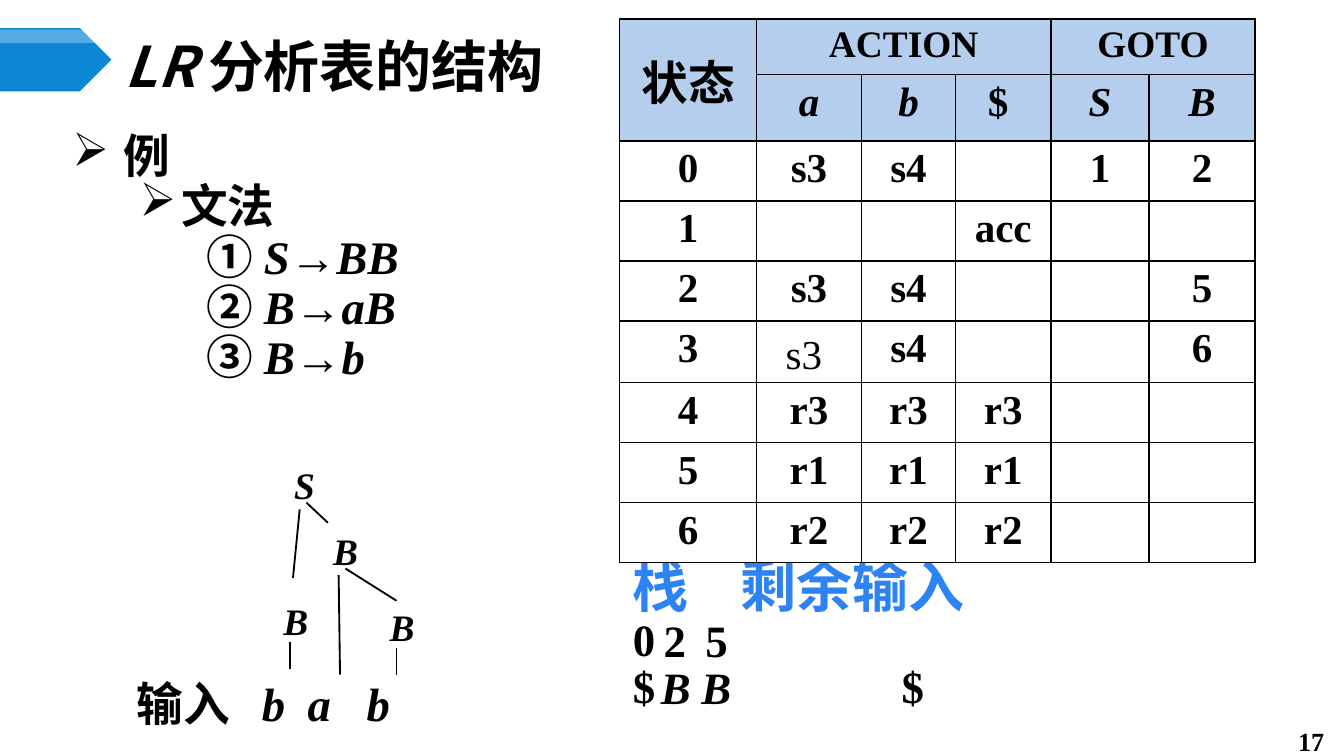
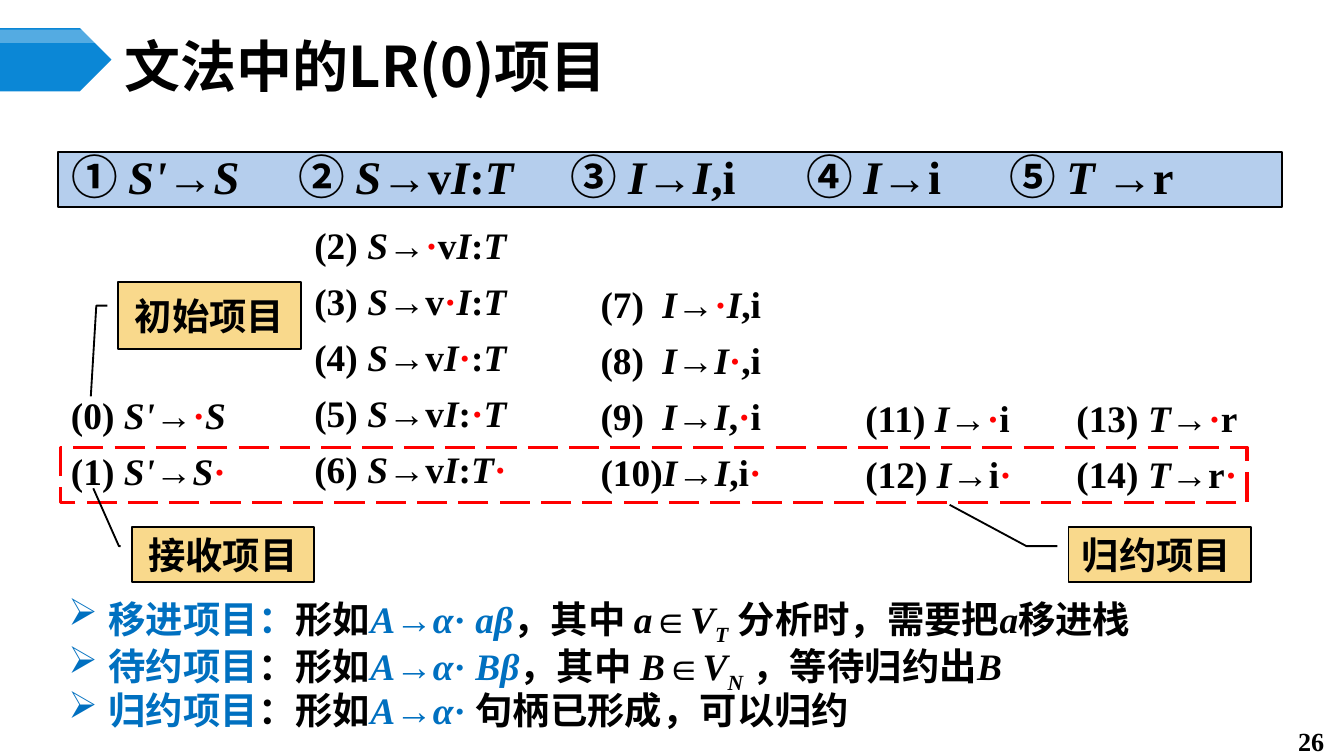
import itertools

import pptx
import pptx.dml.color
import pptx.enum.dml
import pptx.enum.shapes
import pptx.enum.text
import pptx.oxml
import pptx.oxml.ns
import pptx.util
from lxml import etree

SHAPE = pptx.enum.shapes.MSO_SHAPE
ALIGN = pptx.enum.text.PP_ALIGN
ANCHOR = pptx.enum.text.MSO_ANCHOR
qn = pptx.oxml.ns.qn

# The slide is a grid of 100 columns by 56.25 rows of equal size.
WIDTH = pptx.util.Inches(10)
CELL = WIDTH // 100
HEIGHT = int(CELL * 56.25)

BLACK, WHITE, RED = "000000", "FFFFFF", "FF0000"
BAND, PANEL, NOTE = "0B87D6", "B5CEED", "F9D98C"
HEADING, TERM = "2D83F4", "0070C0"
SANS, SERIF = "Noto Sans CJK SC", "Times New Roman"


def units(value):
    return int(round(value * CELL))


def inside(box, left, top, width=0, height=0):
    """Shift a part given in grid units to the corner of its region."""
    return box[0] + left, box[1] + top, width, height


def paint(fill, color):
    fill.solid()
    fill.fore_color.rgb = pptx.dml.color.RGBColor.from_string(color)


def set_face(font, face):
    font.name = face
    etree.SubElement(font._rPr, qn("a:ea"), typeface=face)


def split_markup(text, face):
    """Yield (style, text): *italic*, _subscript_, {accent}; the script picks the face."""
    italic = lowered = accent = False
    current = face or SERIF
    marked = []
    for letter in text:
        if letter == "*":
            italic = not italic
        elif letter == "_":
            lowered = not lowered
        elif letter in "{}":
            accent = letter == "{"
        else:
            if not face and not letter.isspace():
                current = SANS if letter >= "①" else SERIF
            marked.append(((italic, lowered, accent, current), letter))
    for style, group in itertools.groupby(marked, key=lambda pair: pair[0]):
        yield style, "".join(letter for _, letter in group)


def write(para, text, size, color=BLACK, accent=RED, face=None, bold=True, align=None,
          leading=None, gap=0, margin=0, hang=0, bullet=None, tabs=()):
    if align is not None:
        para.alignment = align
    if leading:
        para.line_spacing = leading
    if gap:
        para.space_before = pptx.util.Pt(gap)
    props = para._p.get_or_add_pPr()
    if margin:
        props.set("marL", str(units(margin)))
        props.set("indent", str(-units(hang)))
    if bullet:
        etree.SubElement(props, qn("a:buChar"), char=bullet)
    if tabs:
        stops = etree.SubElement(props, qn("a:tabLst"))
        for stop in tabs:
            etree.SubElement(stops, qn("a:tab"), pos=str(units(stop)), algn="l")

    pieces = list(split_markup(text, face))
    one_slant = len({style[0] for style, _ in pieces}) == 1
    one_face = len({style[3] for style, _ in pieces}) == 1
    para.font.size = pptx.util.Pt(size)
    para.font.bold = bold
    paint(para.font.fill, color)
    if one_slant:
        para.font.italic = pieces[0][0][0]
    if one_face:
        set_face(para.font, pieces[0][0][3])
    for (italic, lowered, marked, run_face), piece in pieces:
        span = para.add_run()
        span.text = piece
        if marked:
            paint(span.font.fill, accent)
        if not one_slant:
            span.font.italic = italic
        if not one_face:
            set_face(span.font, run_face)
        if lowered:
            span._r.get_or_add_rPr().set("baseline", "-25000")


def paragraphs(frame):
    yield frame.paragraphs[0]
    while True:
        yield frame.add_paragraph()


def add_text(page, box, texts, size, gap=0, wrap=True, anchor=ANCHOR.TOP, **style):
    frame = page.shapes.add_textbox(*map(units, box)).text_frame
    frame.word_wrap = wrap
    frame.vertical_anchor = anchor
    for index, (para, text) in enumerate(zip(paragraphs(frame), texts)):
        write(para, text, size, gap=gap if index else 0, **style)
        if index == len(texts) - 1:
            break


def add_panel(page, kind, box, fill=None, line=None, weight=1):
    shape = page.shapes.add_shape(kind, *map(units, box))
    shape.shadow.inherit = False
    if fill:
        paint(shape.fill, fill)
    else:
        shape.fill.background()
    if line:
        paint(shape.line.fill, line)
        shape.line.width = pptx.util.Pt(weight)
    else:
        shape.line.fill.background()
    shape.text_frame.vertical_anchor = ANCHOR.MIDDLE
    return shape


def add_branch(page, start, end):
    link = page.shapes.add_connector(pptx.enum.shapes.MSO_CONNECTOR.STRAIGHT,
                                     *map(units, start[:2] + end[:2]))
    paint(link.line.fill, BLACK)
    link.line.width = pptx.util.Pt(1)
    etree.SubElement(link._element.spPr, qn("a:effectLst"))


def new_page(deck, title, number):
    page = deck.slides.add_slide(deck.slide_layouts[6])
    paint(page.background.fill, WHITE)
    add_panel(page, SHAPE.PENTAGON, (0, 2.1, 8.3, 4.7), BAND)
    gloss = add_panel(page, SHAPE.PENTAGON, (0, 2.2, 8.3, 1), WHITE)
    tint = gloss._element.spPr.find(qn("a:solidFill"))[0]
    etree.SubElement(tint, qn("a:alpha"), val="30000")
    add_text(page, (8.3, 2.9, 86.7, 3.9), [title], 30, face=SANS, anchor=ANCHOR.MIDDLE)
    add_text(page, (95.6, 53.5, 4.6, 2), [str(number)], 14)
    return page


def grammar(page, box):
    frame = page.shapes.add_textbox(*map(units, box)).text_frame
    frame.word_wrap = True
    outline = [("例", 3.8, 3.8, "➢"), ("文法", 8.1, 3.1, "➢")]
    outline += [(rule, 12.5, 2.5, None)
                for rule in ("① *S*→*BB*", "② *B*→*aB*", "③ *B*→*b*")]
    for para, (text, margin, hang, bullet) in zip(paragraphs(frame), outline + [None]):
        write(para, text, 25, leading=0.9, margin=margin, hang=hang, bullet=bullet)
        if text == outline[-1][0]:
            break


def parse_table(page, box):
    rows = [
        ["状态", "ACTION", "", "", "GOTO", ""],
        ["", "*a*", "*b*", "$ ", "*S*", "*B*"],
        ["0", "s3", "s4", "", "1", "2"],
        ["1", "", "", "acc", "", ""],
        ["2", "s3", "s4", "", "", "5"],
        ["3", "s3 ", "s4", "", "", "6"],
        ["4", "r3", "r3", "r3", "", ""],
        ["5", "r1", "r1", "r1", "", ""],
        ["6", "r2", "r2", "r2", "", ""],
    ]
    table = page.shapes.add_table(len(rows), len(rows[0]), *map(units, box)).table
    for column, width in zip(table.columns, (10.2, 7.8, 7, 7.1, 7.3, 7.9)):
        column.width = units(width)
    for row, height in zip(table.rows, [4.1, 4.9] + [4.4] * 7):
        row.height = units(height)
    for first, last in (((0, 0), (1, 0)), ((0, 1), (0, 3)), ((0, 4), (0, 5))):
        table.cell(*first).merge(table.cell(*last))
    for r, texts in enumerate(rows):
        for c, text in enumerate(texts):
            cell = table.cell(r, c)
            cell.margin_top = cell.margin_bottom = units(0.4)
            border_cell(cell)
            paint(cell.fill, PANEL if r < 2 else WHITE)
            if text:
                size = 25 if text == "状态" else 20 if r == 0 else 22
                write(cell.text_frame.paragraphs[0], text, size, align=ALIGN.CENTER,
                      bold=text != "s3 ")
    table.cell(0, 0).vertical_anchor = ANCHOR.MIDDLE
    lowered = table.cell(5, 1)
    lowered.margin_top, lowered.margin_bottom = units(0.9), 0


def border_cell(cell):
    props = cell._tc.get_or_add_tcPr()
    for side in ("lnL", "lnR", "lnT", "lnB"):
        edge = etree.SubElement(props, qn("a:" + side), w=str(pptx.util.Pt(1)))
        ink = etree.SubElement(edge, qn("a:solidFill"))
        etree.SubElement(ink, qn("a:srgbClr"), val=BLACK)


def parse_stack(page, box):
    frame = page.shapes.add_textbox(*map(units, box)).text_frame
    frame.word_wrap = True
    lines = [("栈\t剩余输入", 30, HEADING, 35, (8,)),
             ("0", 24, BLACK, 25, ()),
             ("$\t$", 24, BLACK, 25, (20,))]
    for index, (text, size, color, leading, tabs) in enumerate(lines):
        para = frame.add_paragraph() if index else frame.paragraphs[0]
        write(para, text, size, color, leading=pptx.util.Pt(leading), tabs=tabs)
    for text, left, top, width in (("*B*", 5.1, 7.9, 4.3), ("*B*", 2.1, 7.9, 4.3),
                                   ("2", 2.3, 4.4, 3.7), ("5", 5.4, 4.4, 3.7)):
        add_text(page, inside(box, left, top, width, 5.1), [text], 24, wrap=False)


def parse_tree(page, box):
    add_text(page, inside(box, 0, 16.1, 22.2, 5.2), ["输入\t*b*\t*a*\t*b*"], 25,
             tabs=(9.3, 12.7, 17.1))
    for text, left, top in (("*S*", 11.7, 0), ("*B*", 14.6, 4.9),
                            ("*B*", 10.9, 10.1), ("*B*", 18.8, 10.5)):
        add_text(page, inside(box, left, top, 3.9, 4.4), [text], 20, wrap=False, leading=1.1)
    branches = [((12.4, 16.2), (12.4, 14.2)), ((20.3, 16.6), (20.3, 14.6)),
                ((20.3, 11.1), (16.5, 8.7)), ((16.1, 16.6), (16, 9.2)),
                ((15.2, 5.3), (13.6, 3.8)), ((12.6, 9.4), (13.1, 4.3))]
    for start, end in branches:
        add_branch(page, inside(box, *start), inside(box, *end))


def rule_strip(page, box):
    frame = add_panel(page, SHAPE.RECTANGLE, box, PANEL, BLACK).text_frame
    frame.word_wrap = True
    rules = ["① *S'*→*S*", "② *S*→v*I*:*T*", "③ *I*→*I*,i", "④ *I*→i", "⑤ *T* →r"]
    write(frame.paragraphs[0], "\t".join(rules), 25, align=ALIGN.LEFT, leading=0.9,
          tabs=(16.9, 37.2, 54.7, 69.8))


def item_columns(page, box):
    columns = [
        (0, 12.7, 15.7, ["(0) *S'*→·*S*", "(1) *S'*→*S*·"]),
        (18.1, 0, 19.5, ["(2) *S*→·v*I*:*T*", "(3) *S*→v·*I*:*T*", "(4) *S*→v*I*·:*T*",
                         "(5) *S*→v*I*:·*T*", "(6) *S*→v*I*:*T*·"]),
        (39.4, 4.4, 16.3, ["(7)\t*I*→·*I*,i", "(8)\t*I*→*I*·,i",
                           "(9)\t*I*→*I*,·i", "(10)*I*→*I*,i·"]),
        (59.1, 12.9, 16.3, ["(11) *I*→·i", "(12) *I*→i·"]),
        (74.8, 12.9, 15.8, ["(13) *T*→·r", "(14) *T*→r·"]),
    ]
    for left, top, width, items in columns:
        add_text(page, inside(box, left, top, width, 4.3 * len(items)),
                 [item.replace("·", "{·}") for item in items], 20, gap=6,
                 tabs=(4.6,) if "\t" in items[0] else ())
    frame = add_panel(page, SHAPE.RECTANGLE, inside(box, 0.2, 17.3, 88.3, 4.1),
                      line=RED, weight=2)
    frame.line.dash_style = pptx.enum.dml.MSO_LINE.LONG_DASH


def item_callouts(page, box):
    callouts = [
        ("归约项目", 75.2, 23.2, 4.1, ALIGN.LEFT, (-0.23, -0.4, -0.65)),
        ("接收项目", 5.5, 23.2, 4.1, ALIGN.CENTER, (-0.07, -0.7, -0.21)),
        ("初始项目", 4.5, 5, 5, ALIGN.CENTER, (-0.12, 1.7, -0.15)),
    ]
    for text, left, top, height, align, (bend, tip_row, tip_column) in callouts:
        note = add_panel(page, SHAPE.LINE_CALLOUT_2,
                         inside(box, left, top, 13.6, height), NOTE, BLACK)
        for index, value in enumerate((0.35, -0.06, 0.35, bend, tip_row, tip_column)):
            note.adjustments[index] = value
        write(note.text_frame.paragraphs[0], text, 20, align=align)


def item_kinds(page, box):
    kinds = [
        "{移进项目：}形如{*A*→*α*· *aβ*}，其中 *a*∈*V_T_* 分析时，需要把*a*移进栈",
        "{待约项目}：形如{*A*→*α*· *Bβ*}，其中 *B*∈*V_N_* ，等待归约出*B*",
        "{归约项目}：形如{*A*→*α*· }句柄已形成，可以归约",
    ]
    colored = etree.Element(qn("a:buClr"))
    etree.SubElement(colored, qn("a:srgbClr"), val=TERM)
    add_text(page, box, kinds, 20, accent=TERM, leading=0.9, gap=1,
             margin=3, hang=3, bullet="➢")
    for bullet in page.shapes[-1]._element.iter(qn("a:buChar")):
        bullet.addprevious(etree.fromstring(etree.tostring(colored)))


def main():
    deck = pptx.Presentation()
    deck.slide_width, deck.slide_height = WIDTH, HEIGHT

    page = new_page(deck, "*LR *分析表的结构", 17)
    grammar(page, (4.4, 9.4, 36.2, 35.9))
    parse_stack(page, (46.1, 40.7, 40.2, 11.8))
    parse_table(page, (46.1, 1.4, 47.2, 39.4))
    parse_tree(page, (9.2, 33.6, 22.2, 21.3))

    page = new_page(deck, "文法中的LR(0)项目", 26)
    rule_strip(page, (4.3, 11.3, 91.1, 4.1))
    item_columns(page, (4.3, 16, 91.1, 21.4))
    item_callouts(page, (4.3, 16, 91.1, 27.3))
    item_kinds(page, (4.1, 43.9, 91, 11.4))

    deck.save("out.pptx")


if __name__ == "__main__":
    main()
